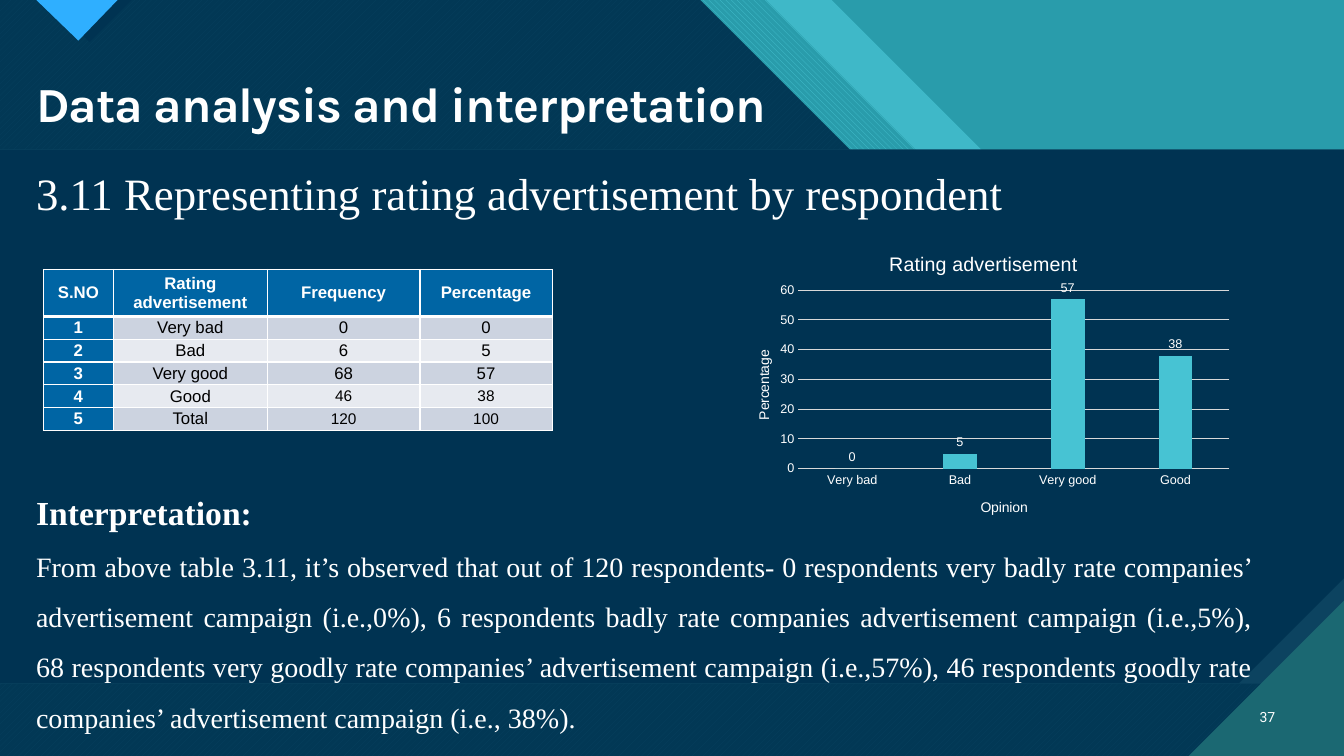
import pptx
import pptx.chart.data
import pptx.dml.color
import pptx.enum.chart
import pptx.enum.dml
import pptx.enum.shapes
import pptx.enum.text
import pptx.oxml
import pptx.oxml.ns
import pptx.util

Pt = pptx.util.Pt
RGB = pptx.dml.color.RGBColor
qn = pptx.oxml.ns.qn
ALIGN = pptx.enum.text.PP_ALIGN
ANCHOR = pptx.enum.text.MSO_ANCHOR
SHAPE = pptx.enum.shapes.MSO_SHAPE
HATCH = pptx.enum.dml.MSO_PATTERN

WHITE = RGB(255, 255, 255)
BLACK = RGB(0, 0, 0)
NAVY = RGB(0x00, 0x33, 0x52)
STEEL = RGB(0x0C, 0x43, 0x60)
TEAL = RGB(0x29, 0x9C, 0xAB)
AQUA = RGB(0x47, 0xC3, 0xD3)
PINE = RGB(0x1B, 0x68, 0x72)
SKY = RGB(0x2F, 0xAF, 0xFF)
BLUE = RGB(0x00, 0x65, 0xA4)
MIST = RGB(0xCC, 0xD3, 0xE0)
PALE = RGB(0xE7, 0xEA, 0xF0)
GREY = RGB(0xD9, 0xD9, 0xD9)
WIDE, HIGH = 960, 540
SERIF = "Times New Roman"

ROWS = [
    ("S.NO", "Rating advertisement", "Frequency", "Percentage"),
    ("1", "Very bad", "0", "0"),
    ("2", "Bad", "6", "5"),
    ("3", "Very good", "68", "57"),
    ("4", "Good", "46", "38"),
    ("5", "Total", "120", "100"),
]
FINDING = (
    "From above table 3.11, it’s observed that out of 120 respondents- 0 respondents "
    "very badly rate companies’ advertisement campaign (i.e.,0%), 6 respondents badly "
    "rate companies advertisement campaign (i.e.,5%), 68 respondents very goodly rate "
    "companies’ advertisement campaign (i.e.,57%), 46 respondents goodly rate "
    "companies’ advertisement campaign (i.e., 38%)."
)


def node(tag, inner="", **attrs):
    """Make an XML element in the drawing or chart namespace."""
    text = "".join(f' {key}="{val}"' for key, val in attrs.items())
    names = pptx.oxml.ns.nsdecls("a", "c")
    return pptx.oxml.parse_xml(f"<{tag} {names}{text}>{inner}</{tag}>")


def style(font, size, color, face="Arial", bold=False):
    """Set the look of a font."""
    font.size, font.name, font.bold = Pt(size), face, bold
    font.color.rgb = color


def write(frame, text, size=12, color=WHITE, face="Arial", bold=False,
          align=ALIGN.LEFT, line=None, space=None):
    """Add one formatted paragraph to a text frame."""
    para = frame.paragraphs[0]
    if para.runs:
        para = frame.add_paragraph()
    para.alignment = align
    if line:
        para.line_spacing = line
    run = para.add_run()
    run.text = text
    style(run.font, size, color, face, bold)
    if space:
        run.font._element.set("spc", str(space))


def frame(slide, left, top, width, height, anchor=ANCHOR.TOP):
    """Add a wrapped text box and return its frame."""
    text = slide.shapes.add_textbox(Pt(left), Pt(top), Pt(width), Pt(height)).text_frame
    text.word_wrap = True
    text.vertical_anchor = anchor
    return text


def paint(shape, color, back=None, hatch=None, alpha=None):
    """Fill a shape plain, hatched or partly clear, without an outline."""
    shape.shadow.inherit = False
    shape.line.fill.background()
    if hatch:
        shape.fill.patterned()
        shape.fill.pattern = hatch
        shape.fill.fore_color.rgb, shape.fill.back_color.rgb = color, back
    else:
        shape.fill.solid()
        shape.fill.fore_color.rgb = color
    if alpha:
        tint = shape.element.spPr.find(qn("a:solidFill"))[0]
        tint.append(node("a:alpha", val=alpha * 1000))


def outline(slide, points, color, **kind):
    """Draw a filled polygon."""
    pen = slide.shapes.build_freeform(*points[0], scale=Pt(1))
    pen.add_line_segments(points[1:], close=True)
    paint(pen.convert_to_shape(), color, **kind)


def backdrop(slide, width, height):
    """Draw the slanted layers, the main panel and the corner marks."""
    slide.background.fill.solid()
    slide.background.fill.fore_color.rgb = TEAL
    drop = 214
    layers = [
        (594, AQUA, dict(alpha=74)),
        (547, AQUA, dict(back=TEAL, hatch=HATCH.WIDE_DOWNWARD_DIAGONAL)),
        (500, AQUA, dict(back=PINE, hatch=HATCH.WIDE_UPWARD_DIAGONAL)),
        (500, NAVY, dict(alpha=90)),
    ]
    for edge, color, kind in layers:
        outline(slide, [(0, 0), (edge, 0), (edge + drop, drop), (width, drop),
                        (width, height), (0, height)], color, **kind)
    for left, half, color in ((34.5, 30, NAVY), (26.5, 29, SKY)):
        outline(slide, [(left, 0), (left + 2 * half, 0), (left + half, half)], color)
    top, foot, snip, side = 106.8, 488.4, 75, 111
    panel = slide.shapes.add_shape(SHAPE.RECTANGLE, 0, Pt(top), Pt(width), Pt(foot - top))
    paint(panel, STEEL)
    outline(slide, [(0, top), (width, top), (width, foot - snip),
                    (width - snip, foot), (0, foot)], NAVY)
    outline(slide, [(width - side, height), (width, height), (width, height - side)], PINE)


def table(slide, left, top, widths, heights):
    """Place the frequency table."""
    grid = slide.shapes.add_table(len(heights), len(widths), Pt(left), Pt(top),
                                  Pt(sum(widths)), Pt(sum(heights))).table
    for col, width in zip(grid.columns, widths):
        col.width = Pt(width)
    fill = '<a:solidFill><a:srgbClr val="FFFFFF"/></a:solidFill>'
    for i, height in enumerate(heights):
        grid.rows[i].height = Pt(height)
        for j, text in enumerate(ROWS[i]):
            cell = grid.cell(i, j)
            cell.margin_left = cell.margin_right = Pt(5)
            cell.margin_top = cell.margin_bottom = 0
            cell.vertical_anchor = ANCHOR.MIDDLE
            for side in "LRTB":
                thick = (side, i) in (("B", 0), ("T", 1))
                cell._tc.get_or_add_tcPr().append(
                    node(f"a:ln{side}", fill, w=Pt(3 if thick else 1)))
            head = i == 0 or j == 0
            cell.fill.solid()
            cell.fill.fore_color.rgb = BLUE if head else MIST if i % 2 else PALE
            write(cell.text_frame, text, size=11 if i > 3 and j > 1 else 12,
                  color=WHITE if head else BLACK, bold=head, align=ALIGN.CENTER)


def arrange(part, index, **place):
    """Give a chart part a fixed place as fractions of the chart."""
    for old in part.findall(qn("c:layout")):
        part.remove(old)
    modes = '<c:layoutTarget val="inner"/>' if "w" in place else ""
    modes += '<c:xMode val="edge"/><c:yMode val="edge"/>'
    spots = "".join(f'<c:{key} val="{val}"/>' for key, val in place.items())
    part.insert(index, node("c:layout", f"<c:manualLayout>{modes}{spots}</c:manualLayout>"))


def graph(slide, left, top, width, height):
    """Place the column chart of ratings."""
    data = pptx.chart.data.CategoryChartData()
    data.categories = [row[1] for row in ROWS[1:5]]
    data.add_series("Series 1", [int(row[3]) for row in ROWS[1:5]])
    kinds = pptx.enum.chart
    chart = slide.shapes.add_chart(kinds.XL_CHART_TYPE.COLUMN_CLUSTERED, Pt(left), Pt(top),
                                   Pt(width), Pt(height), data).chart
    style(chart.font, 10, WHITE)
    chart.has_legend = False
    axes = chart.category_axis, chart.value_axis
    heads = [
        (chart.chart_title, "Rating advertisement", 14, 0.31, 0.05),
        (axes[0].axis_title, "Opinion", 10, 0.49, 0.87),
        (axes[1].axis_title, "Percentage", 10, 0.05, 0.38),
    ]
    for title, text, size, x, y in heads:
        write(title.text_frame, text, size=size)
        arrange(title.element, 1, x=x, y=y)
    arrange(chart.element.find(f".//{qn('c:plotArea')}"), 0, x=0.14, y=0.19, w=0.84, h=0.59)
    for axis in axes:
        axis.major_tick_mark = axis.minor_tick_mark = kinds.XL_TICK_MARK.NONE
        style(axis.tick_labels.font, 9, WHITE)
    axes[1].format.line.fill.background()
    axes[1].minimum_scale, axes[1].maximum_scale, axes[1].major_unit = 0, 60, 10
    for line in (axes[0].format.line, axes[1].major_gridlines.format.line):
        line.color.rgb, line.width = GREY, Pt(0.75)
    plot = chart.plots[0]
    plot.gap_width, plot.overlap, plot.vary_by_categories = 219, -27, False
    bars = plot.series[0]
    bars.format.fill.solid()
    bars.format.fill.fore_color.rgb = AQUA
    labels = bars.data_labels
    labels.show_value = True
    labels.position = kinds.XL_LABEL_POSITION.OUTSIDE_END
    style(labels.font, 9, WHITE)


def words(slide, left):
    """Place the headings, the finding and the page number."""
    write(frame(slide, left, 54, 544, 45), "Data analysis and interpretation",
          size=35, face="Karla", bold=True, line=0.9, space=-70)
    write(frame(slide, left, 115, 867, 46),
          "3.11 Representing rating advertisement by respondent",
          size=32, face=SERIF, align=ALIGN.JUSTIFY)
    body = frame(slide, left, 333.4, 883, 192)
    for text, size in (("Interpretation:", 24), (FINDING, 20)):
        write(body, text, size=size, face=SERIF, bold=size == 24,
              align=ALIGN.JUSTIFY, line=1.5)
    write(frame(slide, 886, 497.5, 32, 29, ANCHOR.MIDDLE), "37",
          size=10, face="Roboto", align=ALIGN.RIGHT)


def main():
    """Build and save the slide."""
    deck = pptx.Presentation()
    deck.slide_width, deck.slide_height = Pt(WIDE), Pt(HIGH)
    slide = deck.slides.add_slide(deck.slide_layouts[6])
    backdrop(slide, WIDE, HIGH)
    words(slide, 18.7)
    table(slide, 31, 192.5, (50, 110, 109, 94.5), [33.5] + [16.3] * 5)
    graph(slide, 519, 166.3, 366.5, 216)
    deck.save("out.pptx")


if __name__ == "__main__":
    main()
